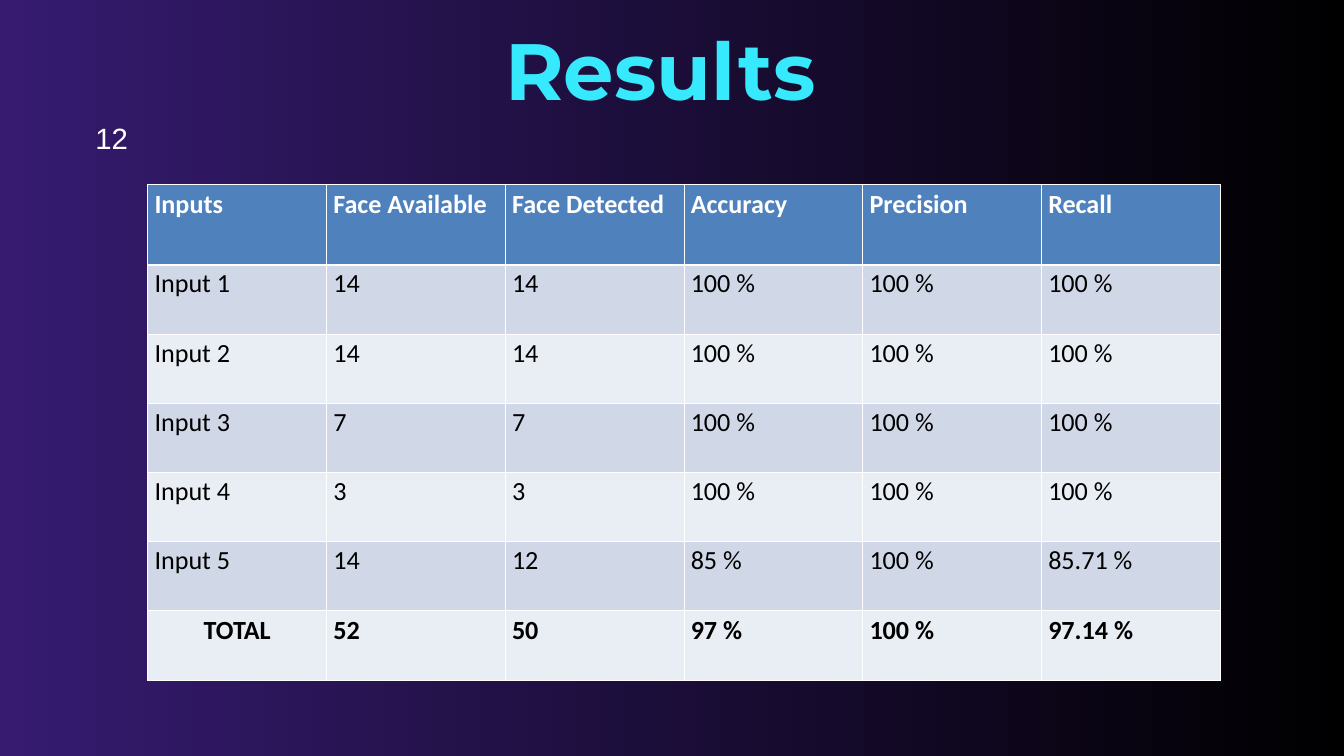
import pptx
import pptx.dml.color
import pptx.enum.text
import pptx.oxml
import pptx.oxml.ns
import pptx.util
from pptx.util import Inches, Pt

ALIGN = pptx.enum.text.PP_ALIGN

HEADER = ["Inputs", "Face Available", "Face Detected", "Accuracy", "Precision", "Recall"]
RESULTS = [
    ["Input 1", "14", "14", "100 %", "100 %", "100 %"],
    ["Input 2", "14", "14", "100 %", "100 %", "100 %"],
    ["Input 3", "7", "7", "100 %", "100 %", "100 %"],
    ["Input 4", "3", "3", "100 %", "100 %", "100 %"],
    ["Input 5", "14", "12", "85 %", "100 %", "85.71 %"],
]
TOTAL = ["TOTAL", "52", "50", "97 %", "100 %", "97.14 %"]

GRADIENT = ["361B70", "000000"]
HEADER_FILL = "4F81BD"
BAND_FILLS = ["D0D8E8", "E9EDF4"]
WHITE, BLACK, CYAN = "FFFFFF", "000000", "36E9FD"

COLUMN_WIDTH, HEADER_HEIGHT, ROW_HEIGHT = 2.66, 1.19, 1.03


def rgb(color):
    return pptx.dml.color.RGBColor.from_string(color)


def style(paragraph, font, size, color, bold=False):
    for run in paragraph.runs:
        run.font.name = font
        run.font.size = Pt(size)
        run.font.bold = bold
        run.font.color.rgb = rgb(color)


def add_label(slide, text, box, font, size, color, spacing, bold=False, align=ALIGN.LEFT):
    frame = slide.shapes.add_textbox(*map(Inches, box)).text_frame
    frame.margin_left = frame.margin_top = frame.margin_right = frame.margin_bottom = 0
    frame.word_wrap = True
    frame.auto_size = pptx.enum.text.MSO_AUTO_SIZE.SHAPE_TO_FIT_TEXT
    frame.text = text
    paragraph = frame.paragraphs[0]
    paragraph.alignment = align
    paragraph.line_spacing = Pt(spacing)
    style(paragraph, font, size, color, bold)


def set_borders(cell, top, bottom):
    """Draw white cell borders; top and bottom are widths in points."""
    properties = cell._tc.get_or_add_tcPr()
    for index, (side, width) in enumerate([("L", 1), ("R", 1), ("T", top), ("B", bottom)]):
        properties.insert(index, pptx.oxml.parse_xml(
            f'<a:ln{side} {pptx.oxml.ns.nsdecls("a")} w="{Pt(width)}">'
            f'<a:solidFill><a:srgbClr val="{WHITE}"/></a:solidFill></a:ln{side}>'))


def add_results_table(slide):
    rows = [HEADER, *RESULTS, TOTAL]
    heights = [HEADER_HEIGHT] + [ROW_HEIGHT] * (len(rows) - 1)
    table = slide.shapes.add_table(
        len(rows), len(HEADER), Inches(2.2), Inches(2.75),
        Inches(COLUMN_WIDTH * len(HEADER)), Inches(sum(heights))).table
    for column in table.columns:
        column.width = Inches(COLUMN_WIDTH)

    for r, (values, height) in enumerate(zip(rows, heights)):
        table.rows[r].height = Inches(height)
        is_header, is_total = r == 0, values is TOTAL
        fill = HEADER_FILL if is_header else BAND_FILLS[(r - 1) % 2]
        for c, value in enumerate(values):
            cell = table.cell(r, c)
            cell.fill.solid()
            cell.fill.fore_color.rgb = rgb(fill)
            set_borders(cell, top=3 if r == 1 else 1, bottom=3 if is_header else 1)
            cell.text_frame.text = value
            paragraph = cell.text_frame.paragraphs[0]
            if is_total and c == 0:
                paragraph.alignment = ALIGN.CENTER
            style(paragraph, "Calibri", 28, WHITE if is_header else BLACK,
                  bold=is_header or is_total)


def main():
    deck = pptx.Presentation()
    deck.slide_width, deck.slide_height = Inches(20), Inches(11.25)
    slide = deck.slides.add_slide(deck.slide_layouts[6])

    background = slide.background.fill
    background.gradient()
    background.gradient_angle = 0
    for stop, color in zip(background.gradient_stops, GRADIENT):
        stop.color.rgb = rgb(color)

    add_label(slide, "Results ", (5.47, 0.6, 9.05, 1.15), "Montserrat", 85.5, CYAN, 81.4,
              bold=True, align=ALIGN.CENTER)
    add_label(slide, "12", (1.42, 1.75, 1.26, 0.56), "Arial", 31.4, WHITE, 40.6)
    add_results_table(slide)
    deck.save("out.pptx")


if __name__ == "__main__":
    main()
